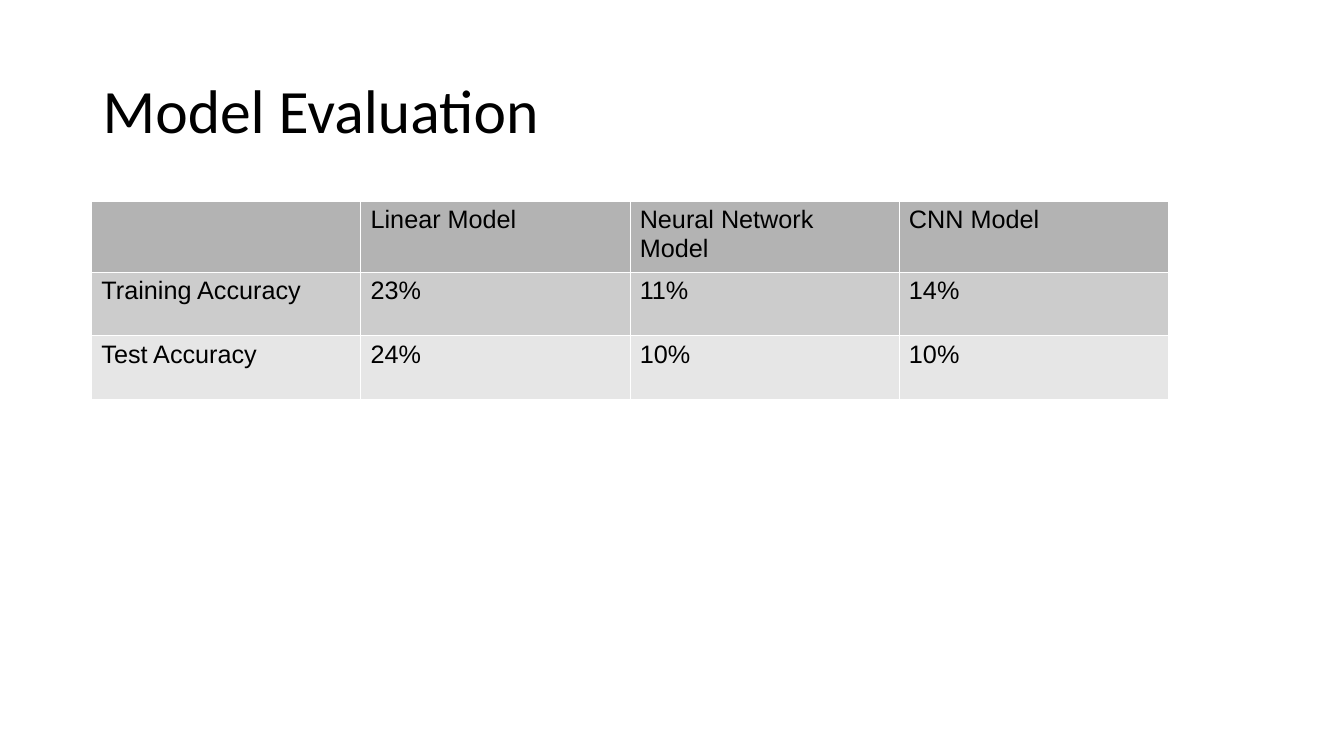
from dataclasses import dataclass

from lxml import etree
from pptx import Presentation
from pptx.dml.color import RGBColor
from pptx.enum.text import MSO_ANCHOR
from pptx.oxml.ns import qn
from pptx.util import Inches, Pt

MIDDLE = MSO_ANCHOR.MIDDLE
SLIDE_W, SLIDE_H = Inches(13.33), Inches(7.5)
COL_W, ROW_H = Inches(2.67), Inches(0.63)
BLANK_LAYOUT = 6


@dataclass(frozen=True)
class Theme:
    text: str = "000000"
    border: str = "FFFFFF"
    row_fills: tuple = ("B3B3B3", "CCCCCC", "E6E6E6")
    title_font: str = "Calibri"
    body_font: str = "Arial"
    title_size: int = 44
    body_size: int = 18
    border_width: float = 0.06


THEME = Theme()

ACCURACY = (
    ("", "Linear Model", "Neural Network Model", "CNN Model"),
    ("Training Accuracy", "23%", "11%", "14%"),
    ("Test Accuracy", "24%", "10%", "10%"),
)


def share(x, y):
    return round(SLIDE_W * x), round(SLIDE_H * y)


def write(tf, text, *, font, size, color=THEME.text, spacing=1.0):
    p = tf.paragraphs[0]
    p.line_spacing = spacing
    r = p.add_run()
    r.text = text
    r.font.name = font
    r.font.size = Pt(size)
    r.font.bold = False
    r.font.color.rgb = RGBColor.from_string(color)


def add_title(s, text):
    sp = s.shapes.add_textbox(*share(0.069, 0.053), *share(0.863, 0.193))
    tf = sp.text_frame
    tf.word_wrap = True
    tf.vertical_anchor = MIDDLE
    write(tf, text, font=THEME.title_font, size=THEME.title_size, spacing=0.9)


def add_borders(cell):
    tc_pr = cell._tc.get_or_add_tcPr()
    for i, side in enumerate(("lnL", "lnR", "lnT", "lnB")):
        ln = etree.Element(qn(f"a:{side}"), w=str(Pt(THEME.border_width)))
        fill = etree.SubElement(ln, qn("a:solidFill"))
        etree.SubElement(fill, qn("a:srgbClr"), val=THEME.border)
        tc_pr.insert(i, ln)


def style_cell(cell, text, fill):
    cell.fill.solid()
    cell.fill.fore_color.rgb = RGBColor.from_string(fill)
    add_borders(cell)
    if text:
        write(cell.text_frame, text, font=THEME.body_font, size=THEME.body_size)


def add_accuracy_table(s, rows):
    n_rows, n_cols = len(rows), len(rows[0])
    table = s.shapes.add_table(
        n_rows, n_cols, *share(0.068, 0.266), COL_W * n_cols, ROW_H * n_rows
    ).table
    table.first_row = False
    table.horz_banding = False
    for col in table.columns:
        col.width = COL_W
    for row, values, fill in zip(table.rows, rows, THEME.row_fills):
        row.height = ROW_H
        for cell, text in zip(row.cells, values):
            style_cell(cell, text, fill)


def main():
    prs = Presentation()
    prs.slide_width, prs.slide_height = SLIDE_W, SLIDE_H
    s = prs.slides.add_slide(prs.slide_layouts[BLANK_LAYOUT])
    add_title(s, "Model Evaluation")
    add_accuracy_table(s, ACCURACY)
    prs.save("out.pptx")


if __name__ == "__main__":
    main()
